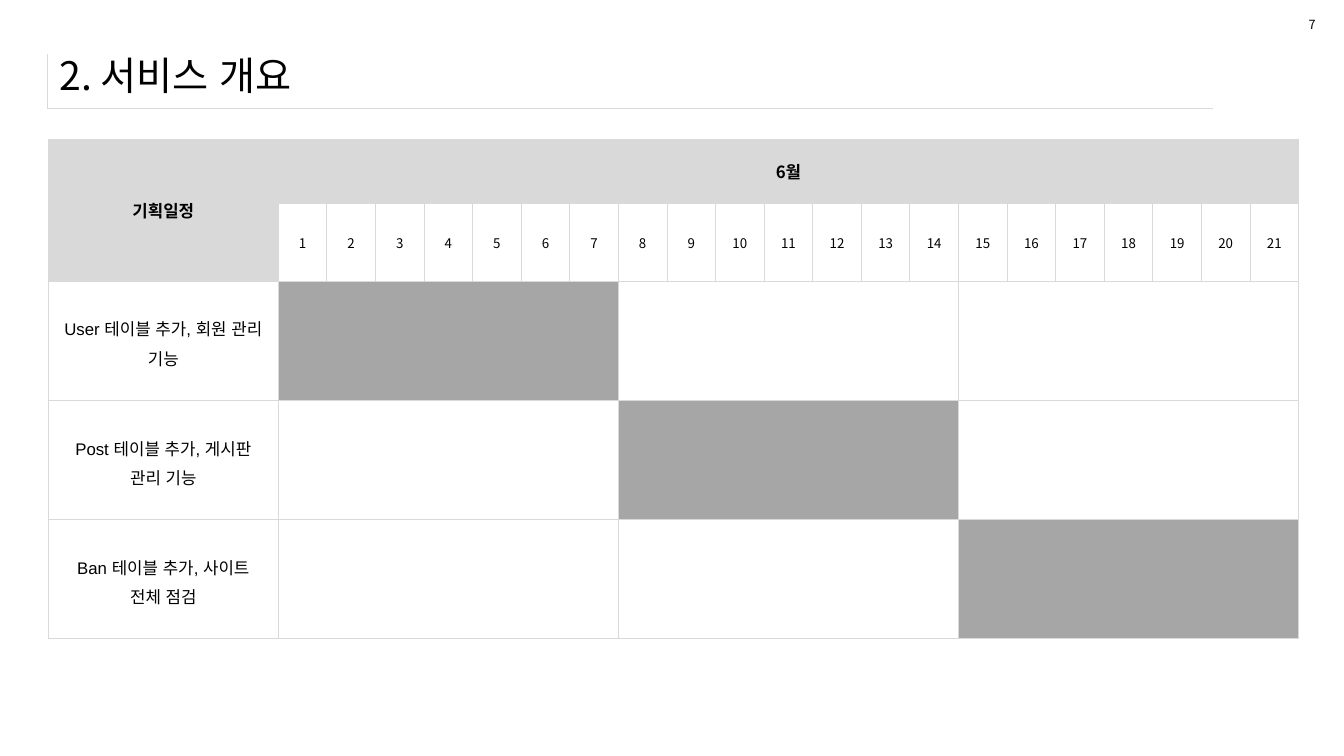
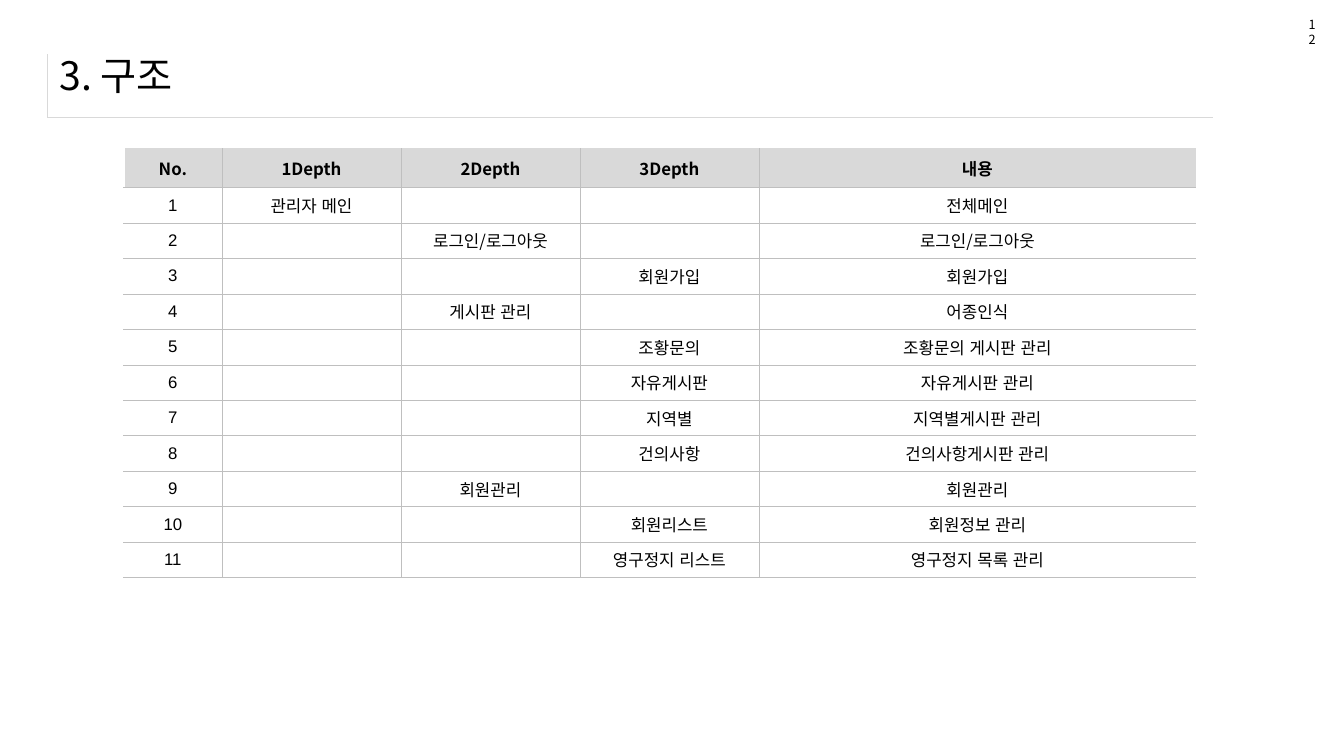
from lxml import etree
from pptx import Presentation
from pptx.dml.color import RGBColor
from pptx.enum import lang, text
from pptx.oxml.ns import qn
from pptx.util import Inches, Pt

HUES = {"ink": "000000", "paper": "FFFFFF", "head": "D9D9D9",
        "bar": "A6A6A6", "rule": "BFBFBF"}
SANS, LATIN = "Noto Sans CJK KR", "Arial"
PLAIN = "{2D5ABB26-0587-4C30-8999-92F81FD0307C}"

TASKS = ["User 테이블 추가, 회원 관리 기능",
         "Post 테이블 추가, 게시판 관리 기능",
         "Ban 테이블 추가, 사이트 전체 점검"]
WEEK = 7
DAYS = WEEK * len(TASKS)

HEADS = ["No.", "1Depth", "2Depth", "3Depth", "내용"]
# Depth of the page in the menu, its name, what it holds
PAGES = [(1, "관리자 메인", "전체메인"),
         (2, "로그인/로그아웃", "로그인/로그아웃"),
         (3, "회원가입", "회원가입"),
         (2, "게시판 관리", "어종인식"),
         (3, "조황문의", "조황문의 게시판 관리"),
         (3, "자유게시판", "자유게시판 관리"),
         (3, "지역별", "지역별게시판 관리"),
         (3, "건의사항", "건의사항게시판 관리"),
         (2, "회원관리", "회원관리"),
         (3, "회원리스트", "회원정보 관리"),
         (3, "영구정지 리스트", "영구정지 목록 관리")]


def hue(name):
    return RGBColor.from_string(HUES[name])


def add_run(para, words, size, face=SANS, bold=False):
    run = para.add_run()
    run.text = words
    font = run.font
    font.size, font.name, font.bold = Pt(size), face, bold
    font.language_id = lang.MSO_LANGUAGE_ID.KOREAN
    font.color.rgb = hue("ink")
    east = etree.SubElement(font._element, qn("a:ea"))
    east.set("typeface", SANS)


def add_text(slide, box, words, size, anchor):
    frame = slide.shapes.add_textbox(*map(Inches, box)).text_frame
    frame.word_wrap = True
    frame.vertical_anchor = anchor
    add_run(frame.paragraphs[0], words, size)


def add_grid(slide, box, cols, rows):
    """Add an unstyled table with the given column widths and row heights."""
    grid = slide.shapes.add_table(len(rows), len(cols), *map(Inches, box)).table
    grid.first_row = grid.horz_banding = False
    grid._tbl.tblPr.find(qn("a:tableStyleId")).text = PLAIN
    for col, wide in zip(grid.columns, cols):
        col.width = Inches(wide)
    for row, tall in zip(grid.rows, rows):
        row.height = Inches(tall)
    return grid


def set_edges(cell, edges):
    """Draw borders; edges maps L, R, T, B to a colour name and a width."""
    props = cell._tc.get_or_add_tcPr()
    for spot, side in enumerate("LRTB"):
        line = etree.Element(qn("a:ln" + side))
        if side in edges:
            name, width = edges[side]
            line.set("w", str(Pt(width)))
            fill = etree.SubElement(line, qn("a:solidFill"))
            etree.SubElement(fill, qn("a:srgbClr"), val=HUES[name])
        else:
            etree.SubElement(line, qn("a:noFill"))
        props.insert(spot, line)


def set_cell(cell, fill, edges, words="", size=12, face=SANS, bold=False, gap=None):
    if fill:
        cell.fill.solid()
        cell.fill.fore_color.rgb = hue(fill)
    else:
        cell.fill.background()
    set_edges(cell, edges)
    cell.vertical_anchor = text.MSO_ANCHOR.MIDDLE
    para = cell.text_frame.paragraphs[0]
    para.alignment = text.PP_ALIGN.CENTER
    if gap:
        para.line_spacing = gap
    if words:
        add_run(para, words, size, face, bold)
    else:
        etree.SubElement(para._p, qn("a:endParaRPr"), sz=str(size * 100))


def add_frame(slide, title, page, tall):
    """Place the title, its corner frame of the given height and the page number."""
    wide, edge = 11.56, ("head", 0.25)
    grid = add_grid(slide, (0.47, 0.54, wide, tall), [wide], [tall])
    set_cell(grid.cell(0, 0), None, {"L": edge, "B": edge})
    add_text(slide, (0.49, 0.41, 12.49, 0.67), title, 28, text.MSO_ANCHOR.MIDDLE)
    add_text(slide, (12.88, 0.12, 0.27, 0.25), str(page), 9, text.MSO_ANCHOR.TOP)


def add_plan(slide, box):
    """Place the day chart: one task a row, one week of bar each."""
    first, heads = 2.28, [0.64, 0.77]
    cols = [first] + [(box[2] - first) / DAYS] * DAYS
    tall = (box[3] - sum(heads)) / len(TASKS)
    grid = add_grid(slide, box, cols, heads + [tall] * len(TASKS))
    edge = ("head", 0.75)
    full = dict.fromkeys("LRTB", edge)

    grid.cell(0, 0).merge(grid.cell(1, 0))
    grid.cell(0, 1).merge(grid.cell(0, DAYS))
    set_cell(grid.cell(0, 0), "head", full, "기획일정", bold=True)
    set_cell(grid.cell(1, 0), "head", full)
    for day in range(1, DAYS + 1):
        set_cell(grid.cell(0, day), "head", full, "6월" if day == 1 else "", bold=True)
        set_cell(grid.cell(1, day), "paper", full, str(day), 9.5)

    for week, task in enumerate(TASKS):
        row = week + len(heads)
        label = grid.cell(row, 0)
        set_cell(label, None, full, task, face=LATIN, gap=1.2)
        label.margin_left = label.margin_right = Inches(0.12)
        for day in range(DAYS):
            edges = {"T": edge, "B": edge}
            if day % WEEK == 0:
                edges["L"] = edge
            if day % WEEK == WEEK - 1:
                edges["R"] = edge
            span = day // WEEK
            fill = "bar" if span == week else "paper" if span > week else None
            set_cell(grid.cell(row, day + 1), fill, edges)


def add_map(slide, box):
    """Place the page list, each name in the column of its depth."""
    top, cols = 0.39, [0.97, 1.78, 1.77, 1.78, 4.33]
    tall = (box[3] - top) / len(PAGES)
    grid = add_grid(slide, box, cols, [top] + [tall] * len(PAGES))
    lines = [HEADS]
    for num, (depth, name, note) in enumerate(PAGES, 1):
        line = [str(num), "", "", "", note]
        line[depth] = name
        lines.append(line)

    edge, last = ("rule", 0.25), len(cols) - 1
    for row, line in enumerate(lines):
        for col, words in enumerate(line):
            edges = {"L": edge if col else ("paper", 1), "B": edge}
            if row:
                edges["T"] = edge
            if col < last:
                edges["R"] = edge
            latin = row and (col == 0 or words == "관리자 메인")
            set_cell(grid.cell(row, col), None if row else "head", edges, words,
                     face=LATIN if latin else SANS, bold=not row)


def main():
    deck = Presentation()
    deck.slide_width, deck.slide_height = Inches(13.33), Inches(7.5)
    blank = deck.slide_layouts[6]

    plan = deck.slides.add_slide(blank)
    add_frame(plan, "2. 서비스 개요", 7, 0.53)
    add_plan(plan, (0.48, 1.38, 12.4, 4.96))

    tree = deck.slides.add_slide(blank)
    add_frame(tree, "3. 구조", 12, 0.62)
    add_map(tree, (1.23, 1.47, 10.63, 4.26))

    deck.save("out.pptx")


if __name__ == "__main__":
    main()
